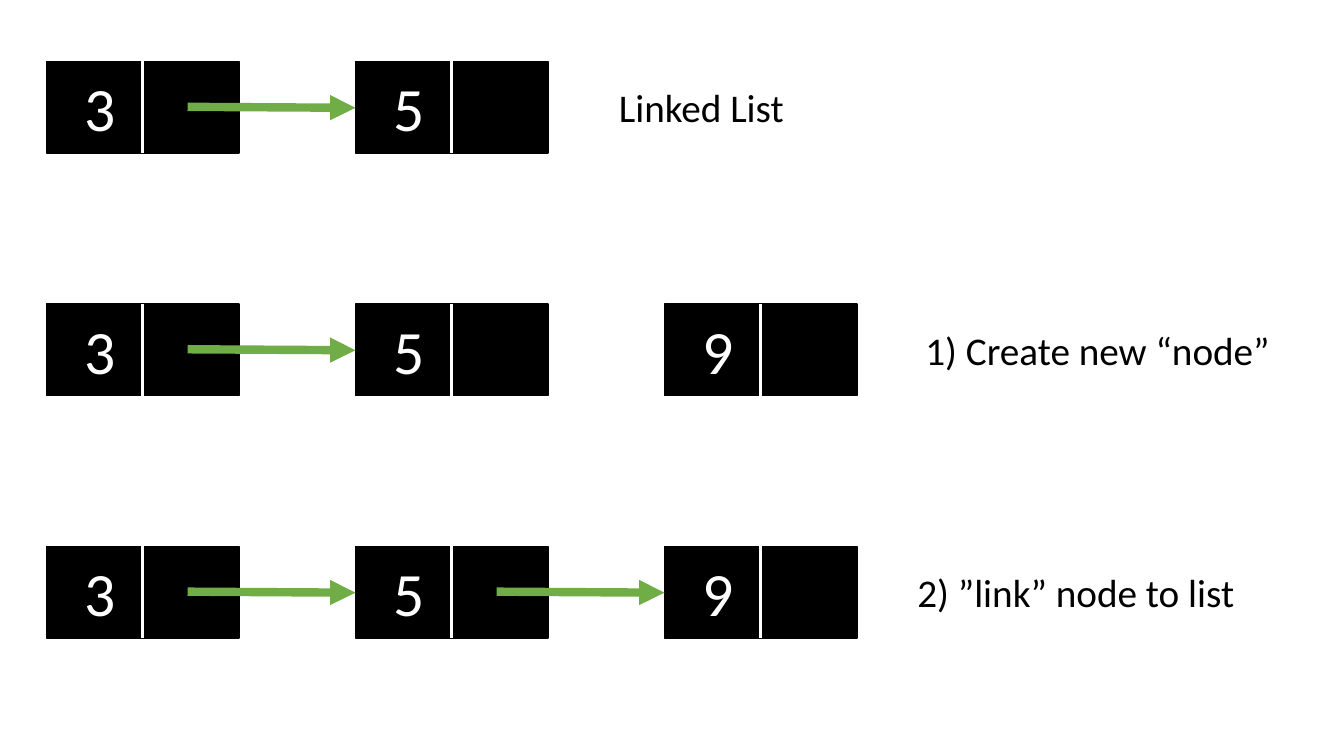
from lxml import etree
from pptx import Presentation
from pptx.dml.color import RGBColor
from pptx.enum.shapes import MSO_CONNECTOR, MSO_SHAPE
from pptx.enum.text import MSO_ANCHOR, MSO_AUTO_SIZE, PP_ALIGN
from pptx.oxml.ns import qn
from pptx.util import Inches, Pt

COLORS = {"node": "000000", "text": "000000", "value": "FFFFFF",
          "divider": "FFFFFF", "link": "70AD47"}
FONT = "Calibri"

# Each step: node values, number of links, caption, caption left and width
STEPS = [
    (["3", "5"], 1, "Linked List", 6.04, 1.86),
    (["3", "5", "9"], 1, "1) Create new “node”", 9.08, 3.65),
    (["3", "5", "9"], 2, "2) ”link” node to list", 9.0, 3.38),
]

LEFT, TOP = 0.46, 0.61
NODE_W, NODE_H = 1.91, 0.91
NODE_STEP, ROW_STEP = 3.065, 2.405
LINK_START = 1.4  # from the node's left edge, inside its pointer cell
CAPTION_DROP, CAPTION_H = 0.17, 0.57


def rgb(name):
    """Return the named colour."""
    return RGBColor.from_string(COLORS[name])


def add_span(frame, text, size, color):
    """Write one left-aligned run into a text frame."""
    para = frame.paragraphs[0]
    para.alignment = PP_ALIGN.LEFT
    span = para.add_run()
    span.text = text
    span.font.name = FONT
    span.font.size = Pt(size)
    span.font.color.rgb = rgb(color)


def add_line(page, start, end, color, width, arrow=False):
    """Draw a straight line, with an arrowhead at its end if asked."""
    line = page.shapes.add_connector(
        MSO_CONNECTOR.STRAIGHT, *(Inches(n) for n in (*start, *end)))
    line.line.color.rgb = rgb(color)
    line.line.width = Pt(width)
    if arrow:
        outline = line.line._get_or_add_ln()
        etree.SubElement(outline, qn("a:tailEnd"), type="triangle")
    etree.SubElement(line._element.spPr, qn("a:effectLst"))


def add_node(page, left, top, value):
    """Draw a list node: a value cell and a pointer cell."""
    box = page.shapes.add_shape(
        MSO_SHAPE.RECTANGLE, Inches(left), Inches(top), Inches(NODE_W), Inches(NODE_H))
    box.shadow.inherit = False
    box.fill.solid()
    box.fill.fore_color.rgb = rgb("node")
    box.line.color.rgb = rgb("node")
    box.line.width = Pt(1)
    frame = box.text_frame
    frame.vertical_anchor = MSO_ANCHOR.MIDDLE
    frame.margin_left = Inches(0.38)
    add_span(frame, value, 44, "value")
    middle = left + NODE_W / 2
    add_line(page, (middle, top), (middle, top + NODE_H), "divider", 2.25)


def add_caption(page, left, top, width, text):
    """Write the caption of a step."""
    box = page.shapes.add_textbox(
        Inches(left), Inches(top), Inches(width), Inches(CAPTION_H))
    box.text_frame.word_wrap = False
    box.text_frame.auto_size = MSO_AUTO_SIZE.SHAPE_TO_FIT_TEXT
    add_span(box.text_frame, text, 28, "text")


deck = Presentation()
deck.slide_width, deck.slide_height = Inches(13.33), Inches(7.5)
page = deck.slides.add_slide(deck.slide_layouts[6])

for row, (values, links, caption, caption_left, caption_width) in enumerate(STEPS):
    top = TOP + row * ROW_STEP
    lefts = [LEFT + i * NODE_STEP for i in range(len(values))]
    for left, value in zip(lefts, values):
        add_node(page, left, top, value)
    for source, target in list(zip(lefts, lefts[1:]))[:links]:
        add_line(page, (source + LINK_START, top + 0.45),
                 (target, top + 0.46), "link", 6, arrow=True)
    add_caption(page, caption_left, top + CAPTION_DROP, caption_width, caption)

deck.save("out.pptx")
